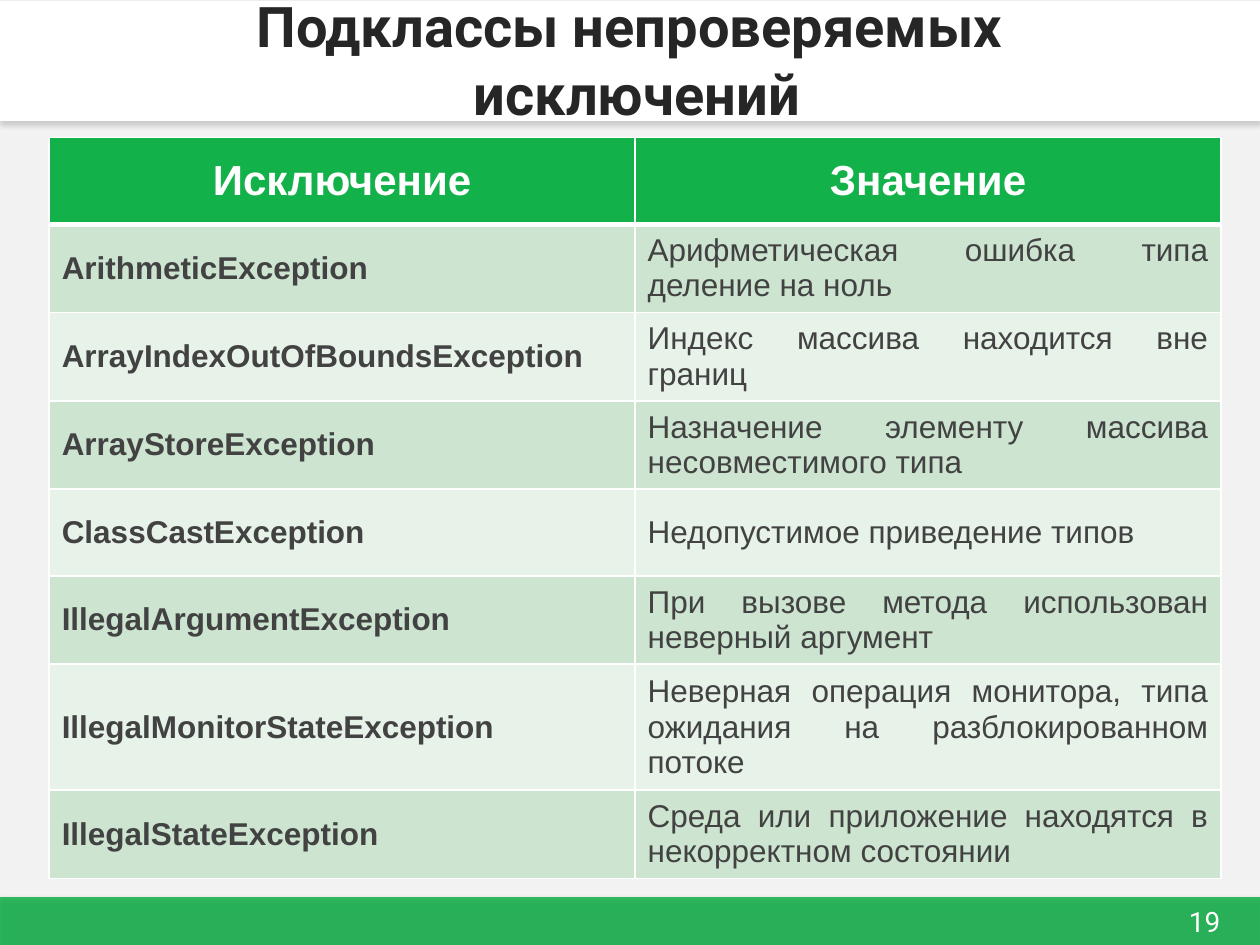
from lxml.etree import SubElement as Sub
from pptx import Presentation
from pptx.dml.color import RGBColor as RGB
from pptx.enum.shapes import MSO_SHAPE as Shape
from pptx.enum.text import MSO_ANCHOR as Anchor, PP_ALIGN as Align
from pptx.oxml.ns import qn
from pptx.util import Inches, Pt

WIDE, HIGH = 10, 7.5
GREEN, WHITE, DARK, GREY = "13B14A", "FFFFFF", "262626", "424242"
BANDS = ("CCE4D0", "E7F2E9")
HEAD = ("Исключение", "Значение")
ROWS = (
    ("ArithmeticException", "Арифметическая ошибка типа деление на ноль"),
    ("ArrayIndexOutOfBoundsException", "Индекс массива находится вне границ"),
    ("ArrayStoreException", "Назначение элементу массива несовместимого типа"),
    ("ClassCastException", "Недопустимое приведение типов"),
    ("IllegalArgumentException", "При вызове метода использован неверный аргумент"),
    ("IllegalMonitorStateException",
     "Неверная операция монитора, типа ожидания на разблокированном потоке"),
    ("IllegalStateException",
     "Среда или приложение находятся в некорректном состоянии"),
)


def paint(fill, tone):
    fill.solid()
    fill.fore_color.rgb = RGB.from_string(tone)


def add_run(para, text, size, tone, font, bold=False):
    run = para.add_run()
    run.text = text
    run.font.size, run.font.name, run.font.bold = Pt(size), font, bold
    run.font.color.rgb = RGB.from_string(tone)


def add_bar(slide, top, high, tone, shade, alpha=100):
    """Add a bar across the whole slide with a soft shadow below it."""
    bar = slide.shapes.add_shape(
        Shape.RECTANGLE, 0, Inches(top), Inches(WIDE), Inches(high))
    paint(bar.fill, tone)
    bar.line.fill.background()
    bar.shadow.inherit = False
    props = bar.element.spPr
    if alpha < 100:
        color = props.find(qn("a:solidFill"))[0]
        Sub(color, qn("a:alpha"), val=str(alpha * 1000))
    cast = Sub(props.find(qn("a:effectLst")), qn("a:outerShdw"),
               blurRad=str(Pt(3.1)), dist=str(Pt(1.8)), dir="5400000",
               algn="t", rotWithShape="0")
    color = Sub(cast, qn("a:srgbClr"), val=shade)
    Sub(color, qn("a:alpha"), val="35000")


def add_text(slide, box, lines, size, tone, bold=False):
    frame = slide.shapes.add_textbox(*map(Inches, box)).text_frame
    frame.word_wrap = True
    frame.vertical_anchor = Anchor.MIDDLE
    para = frame.paragraphs[0]
    para.alignment = Align.CENTER
    for i, line in enumerate(lines):
        if i:
            para.add_line_break()
        add_run(para, line, size, tone, "Roboto", bold)


def add_edges(cell, top, low):
    props = cell._tc.get_or_add_tcPr()
    for side, width in zip("LRTB", (1, 1, top, low)):
        line = Sub(props, qn("a:ln" + side), w=str(Pt(width)))
        Sub(Sub(line, qn("a:solidFill")), qn("a:srgbClr"), val=WHITE)


def fill_cell(cell, text, row, col):
    head = row == 0
    add_edges(cell, 3 if row == 1 else 1, 3 if head else 1)
    paint(cell.fill, GREEN if head else BANDS[(row - 1) % 2])
    cell.vertical_anchor = Anchor.MIDDLE
    para = cell.text_frame.paragraphs[0]
    para.alignment = Align.CENTER if head else (Align.LEFT, Align.JUSTIFY)[col]
    add_run(para, text, 24 if head else 18, WHITE if head else GREY,
            "Arial", head or col == 0)


def add_grid(slide, left, top, wide, step):
    data = (HEAD, *ROWS)
    grid = slide.shapes.add_table(
        len(data), len(HEAD), Inches(left), Inches(top),
        Inches(wide), Inches(step * len(data))).table
    for r, texts in enumerate(data):
        grid.rows[r].height = Inches(step)
        for c, text in enumerate(texts):
            fill_cell(grid.cell(r, c), text, r, c)


def main():
    deck = Presentation()
    deck.slide_width, deck.slide_height = Inches(WIDE), Inches(HIGH)
    slide = deck.slides.add_slide(deck.slide_layouts[6])
    paint(slide.background.fill, "F2F2F2")
    add_bar(slide, HIGH - 0.38, 0.38, GREEN, "000000", 86)
    add_bar(slide, 0.01, 0.95, WHITE, "808080")
    add_text(slide, (9.22, 7.13, 0.68, 0.37), ["19"], 16, WHITE)
    add_text(slide, (0, -0.01, WIDE, 0.96),
             ["Подклассы непроверяемых", " исключений"], 32, DARK, True)
    add_grid(slide, 0.39, 1.09, 9.3, 0.69)
    deck.save("out.pptx")


if __name__ == "__main__":
    main()
